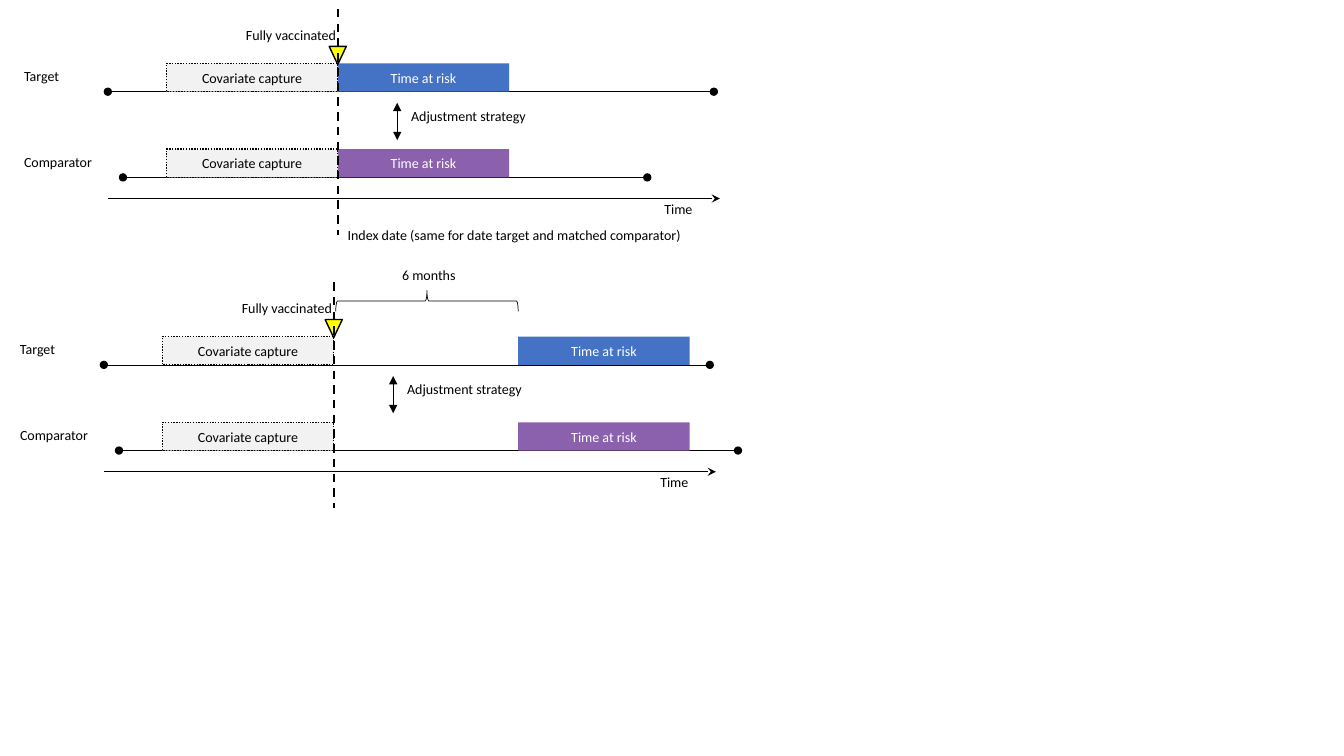
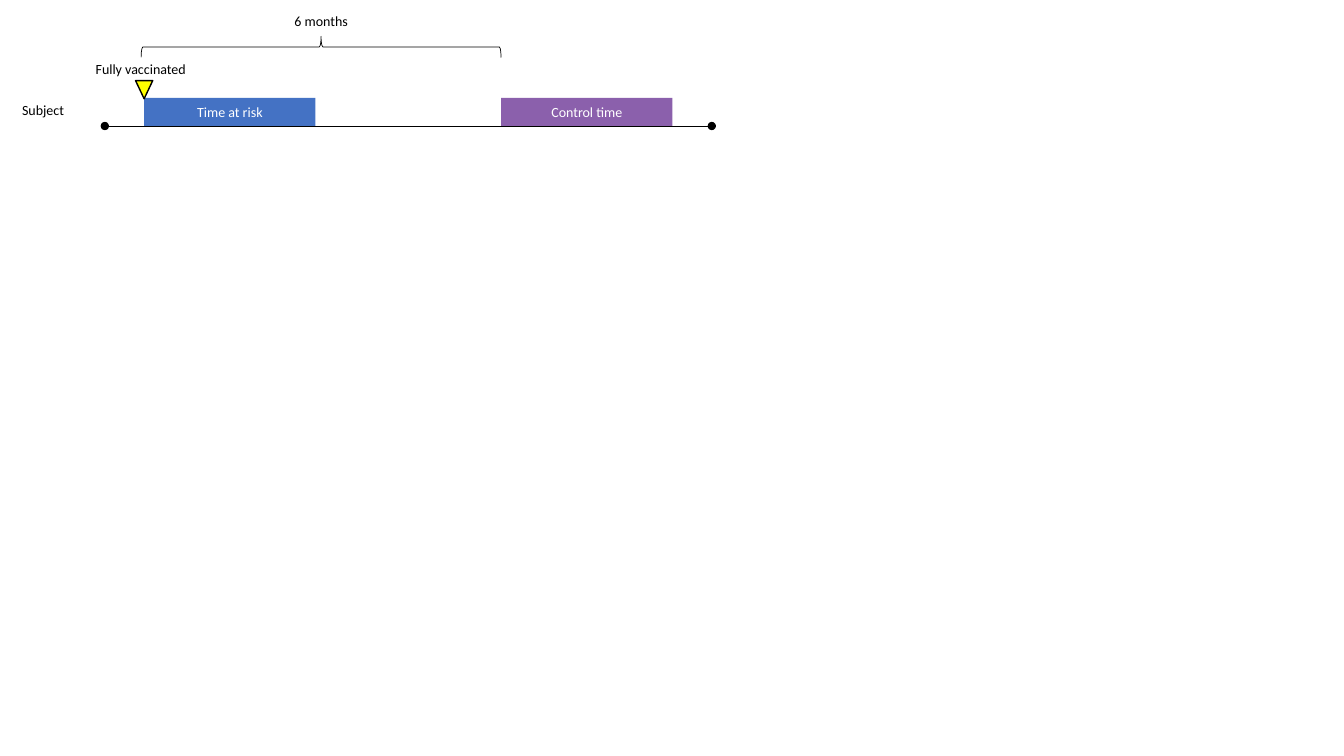
from pptx import Presentation
from pptx.dml.color import RGBColor
from pptx.enum.dml import MSO_LINE
from pptx.enum.shapes import MSO_CONNECTOR, MSO_SHAPE
from pptx.enum.text import MSO_ANCHOR, MSO_AUTO_SIZE, PP_ALIGN
from pptx.oxml.ns import qn
from pptx.util import Inches, Pt
from lxml import etree

BLACK = RGBColor(0x00, 0x00, 0x00)
WHITE = RGBColor(0xFF, 0xFF, 0xFF)
BLUE = RGBColor(0x44, 0x72, 0xC4)
PURPLE = RGBColor(0x8B, 0x60, 0xAC)
GREY = RGBColor(0xF2, 0xF2, 0xF2)
YELLOW = RGBColor(0xFF, 0xFF, 0x00)

BAR_W, BAR_H = 1.7, 0.28
ROW_GAP = 0.85


class Diagram:
    """Shared style and the slide being drawn; lengths are in inches."""
    font, size = "Calibri", Pt(10)

    def __init__(self, prs):
        self.prs = prs

    def new_slide(self):
        self.s = self.prs.slides.add_slide(self.prs.slide_layouts[6])

    def style_text(self, tf, text, color, align):
        tf.text = text
        p = tf.paragraphs[0]
        p.alignment = align
        font = p.runs[0].font
        font.name, font.size = self.font, self.size
        font.color.rgb = color

    def label(self, x, y, w, text, h=0.27, align=PP_ALIGN.LEFT, wrap=False):
        tf = self.s.shapes.add_textbox(Inches(x), Inches(y), Inches(w), Inches(h)).text_frame
        tf.word_wrap = wrap
        tf.auto_size = MSO_AUTO_SIZE.SHAPE_TO_FIT_TEXT
        self.style_text(tf, text, BLACK, align)

    def shape(self, kind, x, y, w, h, fill=None, line=None):
        sp = self.s.shapes.add_shape(kind, Inches(x), Inches(y), Inches(w), Inches(h))
        sp.shadow.inherit = False
        if fill is None:
            sp.fill.background()
        else:
            sp.fill.solid()
            sp.fill.fore_color.rgb = fill
        if line is None:
            sp.line.fill.background()
        else:
            sp.line.color.rgb = BLACK
            sp.line.width = Pt(line)
        return sp

    def bar(self, x, baseline, text, fill, color=WHITE, line=None):
        sp = self.shape(MSO_SHAPE.RECTANGLE, x, baseline - BAR_H, BAR_W, BAR_H, fill, line)
        if line:
            sp.line.dash_style = MSO_LINE.ROUND_DOT
        sp.text_frame.vertical_anchor = MSO_ANCHOR.MIDDLE
        self.style_text(sp.text_frame, text, color, PP_ALIGN.CENTER)

    def line(self, x1, y1, x2, y2, width=0.5, head=None, tail=None, dash=None):
        c = self.s.shapes.add_connector(
            MSO_CONNECTOR.STRAIGHT, Inches(x1), Inches(y1), Inches(x2), Inches(y2))
        c.line.color.rgb = BLACK
        c.line.width = Pt(width)
        if dash:
            c.line.dash_style = dash
        sp_pr = c.element.spPr
        for tag, end in (("a:headEnd", head), ("a:tailEnd", tail)):
            if end:
                etree.SubElement(sp_pr.find(qn("a:ln")), qn(tag), type=end)
        etree.SubElement(sp_pr, qn("a:effectLst"))

    def observation(self, x1, x2, y):
        self.line(x1, y, x2, y, head="oval", tail="oval")

    def vaccination(self, x, baseline, label_x):
        self.label(label_x, baseline - 0.7, 1.11, "Fully vaccinated")
        self.shape(MSO_SHAPE.FLOWCHART_MERGE, x - 0.085, baseline - 0.45, 0.17, 0.18, YELLOW, 1)

    def brace(self, left, right, top, depth=0.21):
        # A right brace turned to point up: its box is given unrotated
        span = right - left
        sp = self.shape(MSO_SHAPE.RIGHT_BRACE, (left + right - depth) / 2,
                        top + (depth - span) / 2, depth, span, line=0.5)
        sp.rotation = 270

    def cohort(self, index, top, risk_delay, comparator_end):
        """Target and comparator rows around an index date."""
        # Time axis
        axis_y = top + 1.06
        self.line(index - 2.28, axis_y, index + 3.79, axis_y, tail="stealth")
        self.label(index + 3.14, top + 1.03, 0.65, "Time", h=0.36)

        # Rows
        rows = (("Target", 0.57, -2.28, index + 3.73, BLUE),
                ("Comparator", 0.89, -2.13, comparator_end, PURPLE))
        for i, (name, w, start, end, fill) in enumerate(rows):
            y = top + i * ROW_GAP
            self.observation(index + start, end, y)
            self.label(index - 3.21, y - 0.29, w, name)
            self.bar(index + risk_delay, y, "Time at risk", fill)
            self.bar(index - BAR_W, y, "Covariate capture", GREY, BLACK, line=1)

        # Adjustment between the rows
        arrow_x = index + 0.59
        self.line(arrow_x, top + 0.11, arrow_x, top + 0.48, head="triangle", tail="triangle")
        self.label(index + 0.63, top + 0.11, 1.84, "Adjustment strategy", h=0.36)

        # Index date
        self.vaccination(index, top, index - 1.01)
        self.line(index, top - 0.82, index, top + 1.42, width=1.5, dash=MSO_LINE.DASH)


prs = Presentation()
prs.slide_width, prs.slide_height = Inches(13.33), Inches(7.5)
d = Diagram(prs)

# Slide 1: cohort designs, immediate and delayed time at risk
d.new_slide()
d.cohort(3.35, 0.91, risk_delay=0, comparator_end=6.42)
d.label(3.35, 2.2, 3.54, "Index date (same for date target and matched comparator)")
d.cohort(3.31, 3.62, risk_delay=1.83, comparator_end=7.32)
d.brace(3.33, 5.14, 2.88)
d.label(3.89, 2.59, 0.74, "6 months")

# Slide 2: self-controlled design
d.new_slide()
baseline, risk_x, control_x = 1.25, 1.43, 4.97
d.observation(1.04, 7.06, baseline)
d.label(0.12, baseline - 0.29, 0.62, "Subject")
d.bar(risk_x, baseline, "Time at risk", BLUE)
d.vaccination(risk_x, baseline, 0.85)
d.bar(control_x, baseline, "Control time", PURPLE)
d.brace(1.4, control_x, 0.36)
d.label(2.46, 0.08, 1.45, "6 months", align=PP_ALIGN.CENTER, wrap=True)

prs.save("out.pptx")
